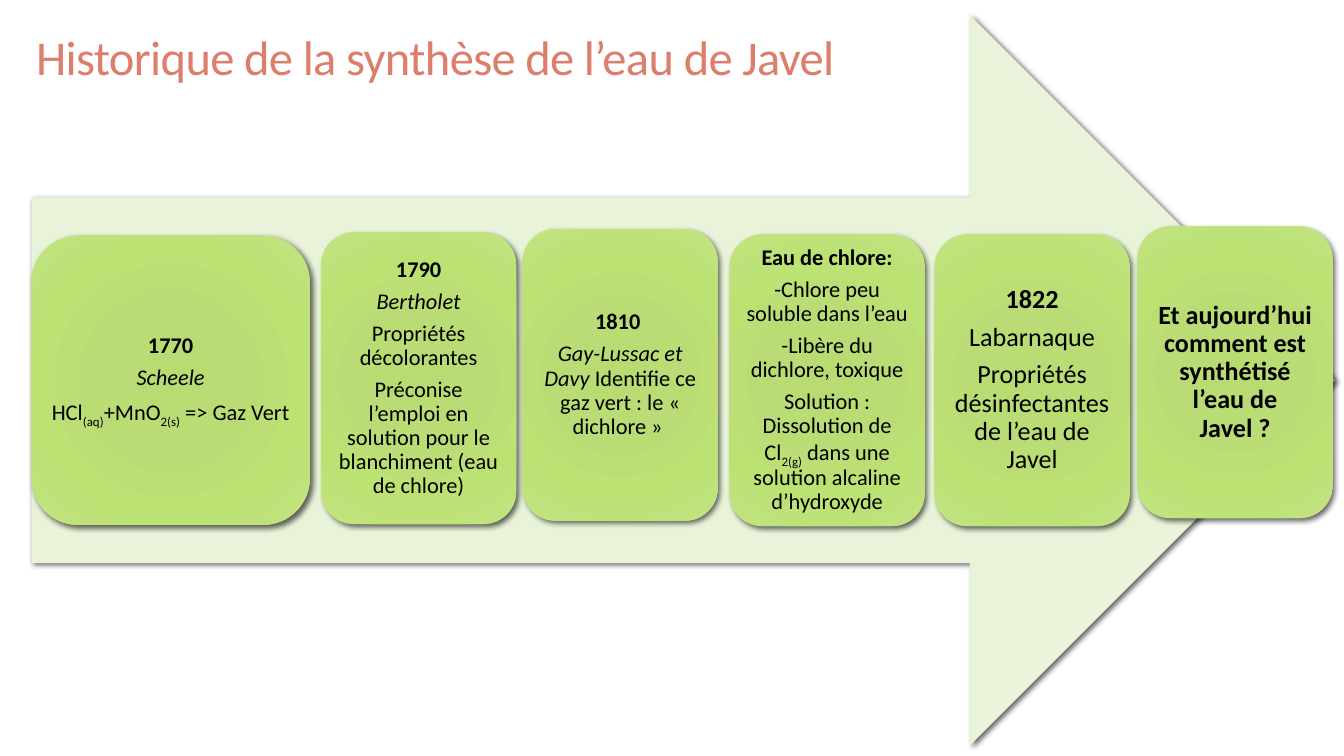
from dataclasses import dataclass
from typing import NamedTuple

from pptx import Presentation, util as u
from pptx.dml.color import RGBColor
from pptx.enum import shapes, text
from pptx.oxml import parse_xml
from pptx.oxml.ns import nsdecls


@dataclass(frozen=True)
class Theme:
    font: str = "Calibri"
    title_color: str = "DC7E6B"
    ink: str = "000000"
    arrow_fill: str = "E9F3D9"
    card_stops: tuple = ((0, "B8DC71"), (34, "B9DC75"), (70, "BCE274"), (100, "C2E383"))
    title_size: float = 26
    body_size: float = 12
    large_size: float = 14


THEME = Theme()
# A 16:9 slide on a grid of square cells, 100 to its width
WIDTH = u.Inches(10)
HEIGHT = WIDTH * 9 // 16
COLUMN = ROW = WIDTH / 100


class Area(NamedTuple):
    """Left, top, width and height in grid columns and rows."""
    left: float
    top: float
    width: float
    height: float

    def emu(self) -> tuple:
        return (round(self.left * COLUMN), round(self.top * ROW),
                round(self.width * COLUMN), round(self.height * ROW))


class Span(NamedTuple):
    words: str
    bold: bool = False
    italic: bool = False
    subscript: bool = False


def bold(words: str) -> list:
    return [Span(words, bold=True)]


def italic(words: str) -> list:
    return [Span(words, italic=True)]


def plain(words: str) -> list:
    return [Span(words)]


def sub(words: str) -> Span:
    return Span(words, subscript=True)


@dataclass
class Milestone:
    left: float
    top: float
    paragraphs: list
    width: float = 14.5
    height: float = 21.7
    size: float = THEME.body_size
    inset: float = 0.05


MILESTONES = [
    Milestone(2.35, 17.55, [
        bold("1770"),
        italic("Scheele"),
        [Span("HCl"), sub("(aq)"), Span("+MnO"), sub("2(s)"), Span(" => Gaz Vert ")],
    ], width=20.7, height=21.5),
    Milestone(23.9, 17.3, [
        bold("1790"),
        italic("Bertholet"),
        plain("Propriétés décolorantes"),
        plain("Préconise l’emploi en solution pour le blanchiment (eau de chlore)"),
    ]),
    Milestone(38.9, 17.05, [
        bold("1810 "),
        italic("Gay-Lussac et Davy ") + plain("Identifie ce gaz vert : le « dichlore » "),
    ]),
    Milestone(54.3, 17.45, [
        bold("Eau de chlore:"),
        plain("-Chlore peu soluble dans l’eau "),
        plain("-Libère du dichlore, toxique"),
        [Span("Solution : Dissolution de Cl"), sub("2(g)"),
         Span(" dans une solution alcaline d’hydroxyde")],
    ]),
    Milestone(69.55, 17.45, [
        bold("1822"),
        plain("Labarnaque"),
        plain("Propriétés désinfectantes de l’eau de Javel"),
    ], size=THEME.large_size, inset=0.06),
    Milestone(84.65, 16.85, [
        bold("Et aujourd’hui comment est synthétisé l’eau de Javel ?"),
    ], size=THEME.large_size, inset=0.06),
]


def add_shadowed(slide, kind, area: Area):
    """Add a shape without outline and with a soft shadow to the lower right."""
    shape = slide.shapes.add_shape(kind, *area.emu())
    shape.line.fill.background()
    shape.shadow.inherit = False
    shape._element.spPr.find("{*}effectLst").append(parse_xml(
        f'<a:outerShdw {nsdecls("a")} blurRad="{u.Pt(3)}" dist="{u.Pt(2)}" dir="2700000"'
        f' algn="tl" rotWithShape="0"><a:srgbClr val="{THEME.ink}">'
        '<a:alpha val="60000"/></a:srgbClr></a:outerShdw>'))
    return shape


def fill_radial(shape) -> None:
    stops = "".join(f'<a:gs pos="{pos * 1000}"><a:srgbClr val="{color}"/></a:gs>'
                    for pos, color in THEME.card_stops)
    shape._element.spPr.find("{*}ln").addprevious(parse_xml(
        f'<a:gradFill {nsdecls("a")} rotWithShape="1"><a:gsLst>{stops}</a:gsLst>'
        '<a:path path="circle"><a:fillToRect l="100000" t="100000" r="100000" b="100000"/>'
        '</a:path></a:gradFill>'))


def set_insets(frame, inset: float) -> None:
    frame.word_wrap = True
    frame.margin_left = frame.margin_right = u.Inches(inset)
    frame.margin_top = frame.margin_bottom = u.Inches(inset)


def style_font(font, size: float, color: str) -> None:
    font.name, font.size = THEME.font, u.Pt(size)
    font.color.rgb = RGBColor.from_string(color)


def add_span(paragraph, span: Span, size: float) -> None:
    run = paragraph.add_run()
    run.text = span.words
    style_font(run.font, size, THEME.ink)
    run.font.bold, run.font.italic = span.bold, span.italic
    if span.subscript:
        run.font._element.set("baseline", "-25000")


def add_milestone(slide, item: Milestone) -> None:
    card = add_shadowed(slide, shapes.MSO_SHAPE.ROUNDED_RECTANGLE,
                        Area(item.left, item.top, item.width, item.height))
    fill_radial(card)
    frame = card.text_frame
    set_insets(frame, item.inset)
    frame.vertical_anchor = text.MSO_ANCHOR.MIDDLE
    for index, spans in enumerate(item.paragraphs):
        paragraph = frame.add_paragraph() if index else frame.paragraphs[0]
        paragraph.alignment = text.PP_ALIGN.CENTER
        paragraph.line_spacing = 0.9
        paragraph.space_after = u.Pt(0.35 * item.size)
        for span in spans:
            add_span(paragraph, span, item.size)


def add_title(slide, words: str, area: Area) -> None:
    frame = slide.shapes.add_textbox(*area.emu()).text_frame
    set_insets(frame, 0.1)
    frame.text = words
    paragraph = frame.paragraphs[0]
    paragraph.line_spacing = 0.85
    font = paragraph.runs[0].font
    style_font(font, THEME.title_size, THEME.title_color)
    font._element.set("spc", "-36")


def main() -> None:
    deck = Presentation()
    deck.slide_width, deck.slide_height = WIDTH, HEIGHT
    slide = deck.slides.add_slide(deck.slide_layouts[6])

    # Heading
    add_title(slide, "Historique de la synthèse de l’eau de Javel", Area(1.7, 1.65, 93.2, 6.3))

    # Arrow of time behind the milestones
    arrow = add_shadowed(slide, shapes.MSO_SHAPE.RIGHT_ARROW, Area(2.35, 1.1, 97, 54.4))
    arrow.fill.solid()
    arrow.fill.fore_color.rgb = RGBColor.from_string(THEME.arrow_fill)

    # Milestones
    for item in MILESTONES:
        add_milestone(slide, item)

    deck.save("out.pptx")


if __name__ == "__main__":
    main()
